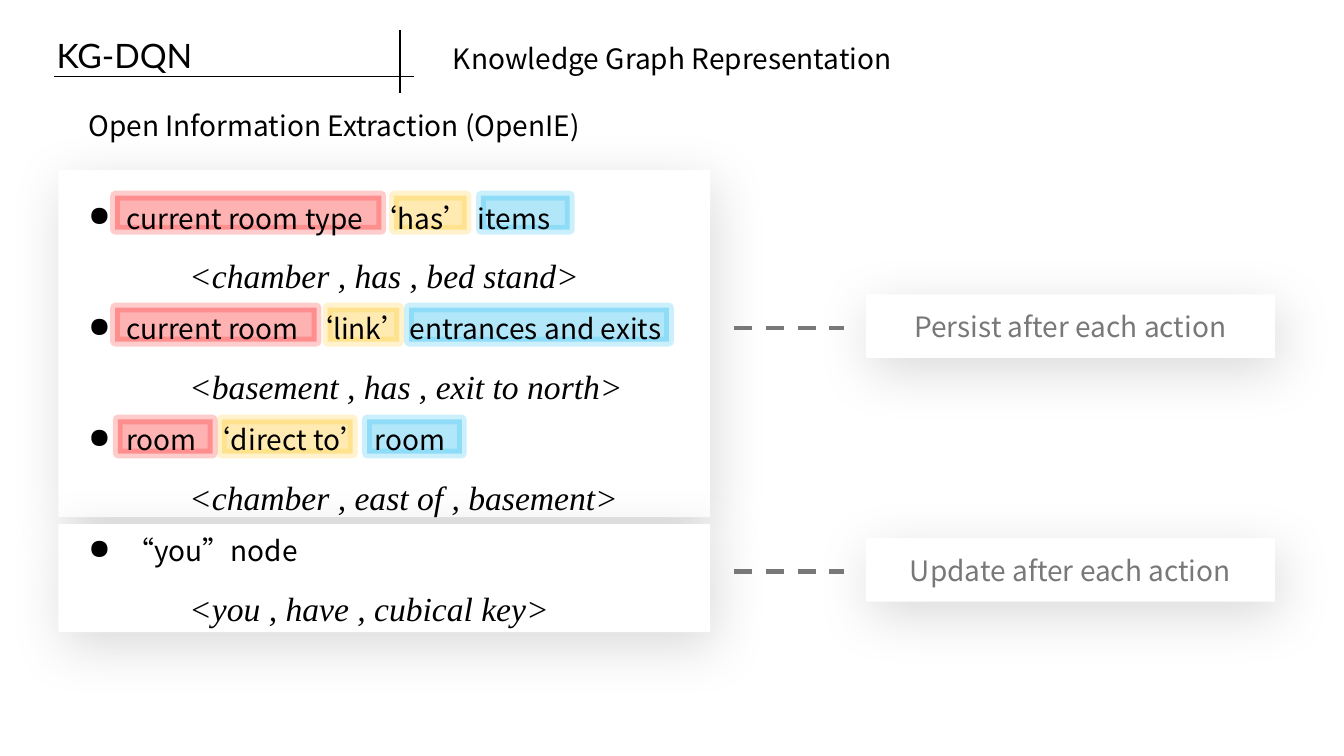
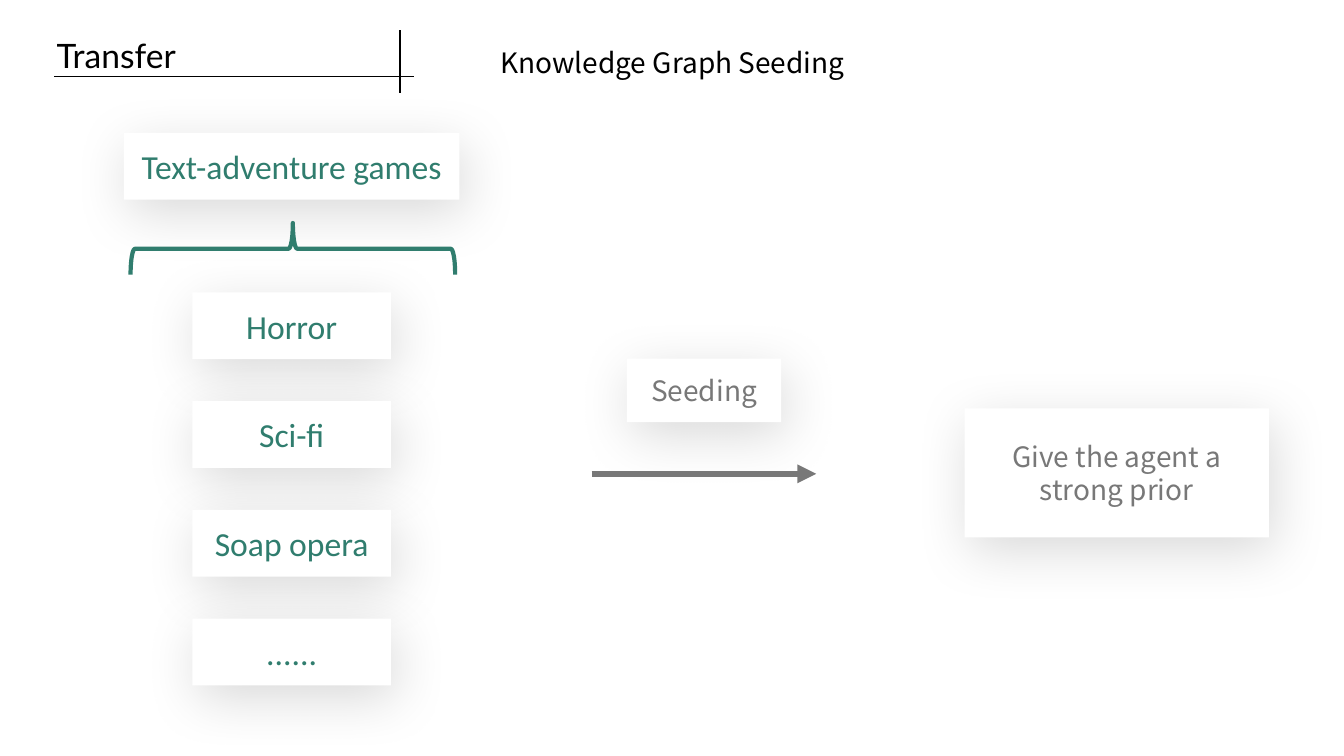
from dataclasses import dataclass

from lxml.etree import SubElement
from pptx import Presentation
from pptx.dml.color import RGBColor
from pptx.enum.dml import MSO_LINE
from pptx.enum.shapes import MSO_CONNECTOR, MSO_SHAPE
from pptx.enum.text import MSO_ANCHOR, MSO_AUTO_SIZE, PP_ALIGN
from pptx.oxml.ns import qn
from pptx.presentation import Presentation as Deck
from pptx.shapes.autoshape import Shape
from pptx.shapes.connector import Connector
from pptx.slide import Slide
from pptx.text.text import _Paragraph as Paragraph
from pptx.util import Cm, Pt

BLACK = RGBColor(0x00, 0x00, 0x00)
WHITE = RGBColor(0xFF, 0xFF, 0xFF)
GREY = RGBColor(0x78, 0x78, 0x78)
GREEN = RGBColor(0x30, 0x7D, 0x6E)
SUBJECT = RGBColor(0xFF, 0x00, 0x00)
RELATION = RGBColor(0xFF, 0xC0, 0x00)
OBJECT = RGBColor(0x00, 0xB0, 0xF0)


@dataclass(frozen=True)
class Style:
    font: str
    size: float
    color: RGBColor
    italic: bool = False


TITLE = Style("Lato", 24, BLACK)
BODY = Style("Noto Sans CJK SC", 20, BLACK)
NOTE = Style("Noto Sans CJK SC", 20, GREY)
TRIPLE = Style("Times New Roman", 24, BLACK, italic=True)
GENRE = Style("Calibri", 24, GREEN)


@dataclass(frozen=True)
class Box:
    left: float
    top: float
    width: float
    height: float


@dataclass(frozen=True)
class Highlight:
    row: int
    left: float
    width: float
    color: RGBColor


@dataclass(frozen=True)
class Rule:
    pattern: str
    example: str


HIGHLIGHTS = [
    Highlight(2, 5.59, 3.3, RELATION),
    Highlight(1, 8.26, 1.8, RELATION),
    Highlight(0, 9.93, 1.83, RELATION),
    Highlight(2, 9.25, 2.39, OBJECT),
    Highlight(1, 10.31, 6.55, OBJECT),
    Highlight(0, 12.12, 2.24, OBJECT),
    Highlight(2, 2.97, 2.39, SUBJECT),
    Highlight(1, 2.9, 5.08, SUBJECT),
    Highlight(0, 2.9, 6.71, SUBJECT),
]
RULES = [
    Rule("current room type ‘has’ items", "<chamber , has , bed stand>"),
    Rule("current room ‘link’entrances and exits", "<basement , has , exit to north>"),
    Rule("room ‘direct to’ room", "<chamber , east of , basement>"),
    Rule("“you”node", "<you , have , cubical key>"),
]
GENRES = ["Horror", "Sci-fi", "Soap opera", "......"]


def write(paragraph: Paragraph, text: str, style: Style) -> None:
    paragraph.text = text
    for run in paragraph.runs:
        run.font.name = style.font
        run.font.size = Pt(style.size)
        run.font.italic = style.italic
        run.font.color.rgb = style.color
        SubElement(run.font._element, qn("a:ea"), typeface=style.font)


def add_preset(slide: Slide, preset: MSO_SHAPE, box: Box) -> Shape:
    shape = slide.shapes.add_shape(
        preset, Cm(box.left), Cm(box.top), Cm(box.width), Cm(box.height)
    )
    shape.shadow.inherit = False
    return shape


def add_card(slide: Slide, box: Box, text: str = "", style: Style = NOTE) -> None:
    card = add_preset(slide, MSO_SHAPE.RECTANGLE, box)
    card.fill.solid()
    card.fill.fore_color.rgb = WHITE
    card.line.fill.background()
    effects = card._element.spPr.find(qn("a:effectLst"))
    shadow = SubElement(
        effects, qn("a:outerShdw"), blurRad=str(Pt(40)), dist=str(Pt(10)),
        dir=str(70 * 60000), rotWithShape="0",
    )
    tone = SubElement(shadow, qn("a:srgbClr"), val=str(BLACK))
    SubElement(tone, qn("a:alpha"), val="15000")
    if text:
        frame = card.text_frame
        frame.word_wrap = True
        frame.vertical_anchor = MSO_ANCHOR.MIDDLE
        write(frame.paragraphs[0], text, style)
        frame.paragraphs[0].alignment = PP_ALIGN.CENTER


def add_line(
    slide: Slide, start: tuple[float, float], end: tuple[float, float],
    color: RGBColor, weight: float,
) -> Connector:
    line = slide.shapes.add_connector(
        MSO_CONNECTOR.STRAIGHT, Cm(start[0]), Cm(start[1]), Cm(end[0]), Cm(end[1])
    )
    line.line.color.rgb = color
    line.line.width = Pt(weight)
    SubElement(line._element.spPr, qn("a:effectLst"))
    return line


def add_text(
    slide: Slide, box: Box, text: str = "", align: PP_ALIGN = PP_ALIGN.LEFT
) -> Shape:
    label = slide.shapes.add_textbox(
        Cm(box.left), Cm(box.top), Cm(box.width), Cm(box.height)
    )
    label.text_frame.word_wrap = True
    if text:
        paragraph = label.text_frame.paragraphs[0]
        write(paragraph, text, BODY)
        paragraph.alignment = align
    return label


def add_highlight(slide: Slide, mark: Highlight) -> None:
    box = Box(mark.left, 4.93 + 2.82 * mark.row, mark.width, 0.86)
    tint = add_preset(slide, MSO_SHAPE.RECTANGLE, box)
    tint.fill.solid()
    tint.fill.fore_color.rgb = mark.color
    tint.line.color.rgb = mark.color
    tint.line.width = Pt(7)
    tones = tint._element.spPr.iter(qn("a:srgbClr"))
    for tone, percent in zip(list(tones), (30, 20)):
        SubElement(tone, qn("a:alpha"), val=str(percent * 1000))


def add_rules(slide: Slide) -> None:
    frame = add_text(slide, Box(1.98, 4.52, 15.93, 11.61)).text_frame
    for index, rule in enumerate(RULES):
        pattern = frame.add_paragraph() if index else frame.paragraphs[0]
        write(pattern, rule.pattern, BODY)
        pattern.line_spacing = 1.5
        properties = pattern._p.get_or_add_pPr()
        properties.set("marL", str(Cm(0.95)))
        properties.set("indent", str(-Cm(0.95)))
        SubElement(properties, qn("a:buChar"), char="●")
        example = frame.add_paragraph()
        write(example, rule.example, TRIPLE)
        example.line_spacing = 1.5
        example._p.get_or_add_pPr().set("marL", str(Cm(2.54)))


def start_slide(deck: Deck, heading: str, topic: str, topic_top: float) -> Slide:
    slide = deck.slides.add_slide(deck.slide_layouts[5])
    title = slide.shapes.title
    title.left, title.top = Cm(1.17), Cm(0.76)
    title.width, title.height = Cm(8.71), Cm(1.27)
    frame = title.text_frame
    frame.word_wrap = True
    frame.auto_size = MSO_AUTO_SIZE.NONE
    frame.vertical_anchor = MSO_ANCHOR.TOP
    write(frame.paragraphs[0], heading, TITLE)
    frame.paragraphs[0].alignment = PP_ALIGN.LEFT
    add_line(slide, (1.37, 1.93), (10.44, 1.93), BLACK, 0.75)
    add_line(slide, (10.08, 0.76), (10.08, 2.34), BLACK, 0.75)
    add_text(slide, Box(7.14, topic_top, 19.61, 1.12), topic, PP_ALIGN.CENTER)
    return slide


def build_representation(deck: Deck) -> None:
    slide = start_slide(deck, "KG-DQN", "Knowledge Graph Representation", 0.91)
    add_card(slide, Box(1.47, 4.29, 16.43, 8.74))
    add_card(slide, Box(1.47, 13.21, 16.43, 2.72))
    add_text(slide, Box(1.98, 2.62, 19.61, 1.12), "Open Information Extraction (OpenIE)")
    for verb, top in (("Persist", 7.42), ("Update", 13.56)):
        add_card(slide, Box(21.82, top, 10.31, 1.6), f"{verb} after each action")
        link = add_line(slide, (18.49, top + 0.84), (21.26, top + 0.84), GREY, 3.25)
        link.line.dash_style = MSO_LINE.DASH
    for mark in HIGHLIGHTS:
        add_highlight(slide, mark)
    add_rules(slide)


def build_seeding(deck: Deck) -> None:
    slide = start_slide(deck, "Transfer", "Knowledge Graph Seeding", 1.02)
    add_card(slide, Box(3.12, 3.35, 8.46, 1.68), "Text-adventure games", GENRE)
    for index, genre in enumerate(GENRES):
        add_card(slide, Box(4.85, 7.37 + 2.74 * index, 5, 1.68), genre, GENRE)
    brace = add_preset(slide, MSO_SHAPE.LEFT_BRACE, Box(6.73, 2.18, 1.3, 8.18))
    brace.rotation = 90
    brace.fill.background()
    brace.line.color.rgb = GREEN
    brace.line.width = Pt(3)
    add_card(slide, Box(15.8, 9.04, 3.89, 1.6), "Seeding")
    arrow = add_line(slide, (14.91, 11.94), (20.57, 11.94), GREY, 4.5)
    SubElement(arrow._element.spPr.find(qn("a:ln")), qn("a:tailEnd"), type="triangle")
    add_card(slide, Box(24.31, 10.29, 7.67, 3.25), "Give the agent a strong prior")


def main() -> None:
    deck = Presentation()
    deck.slide_width, deck.slide_height = Cm(33.87), Cm(19.05)
    build_representation(deck)
    build_seeding(deck)
    deck.save("out.pptx")


if __name__ == "__main__":
    main()
